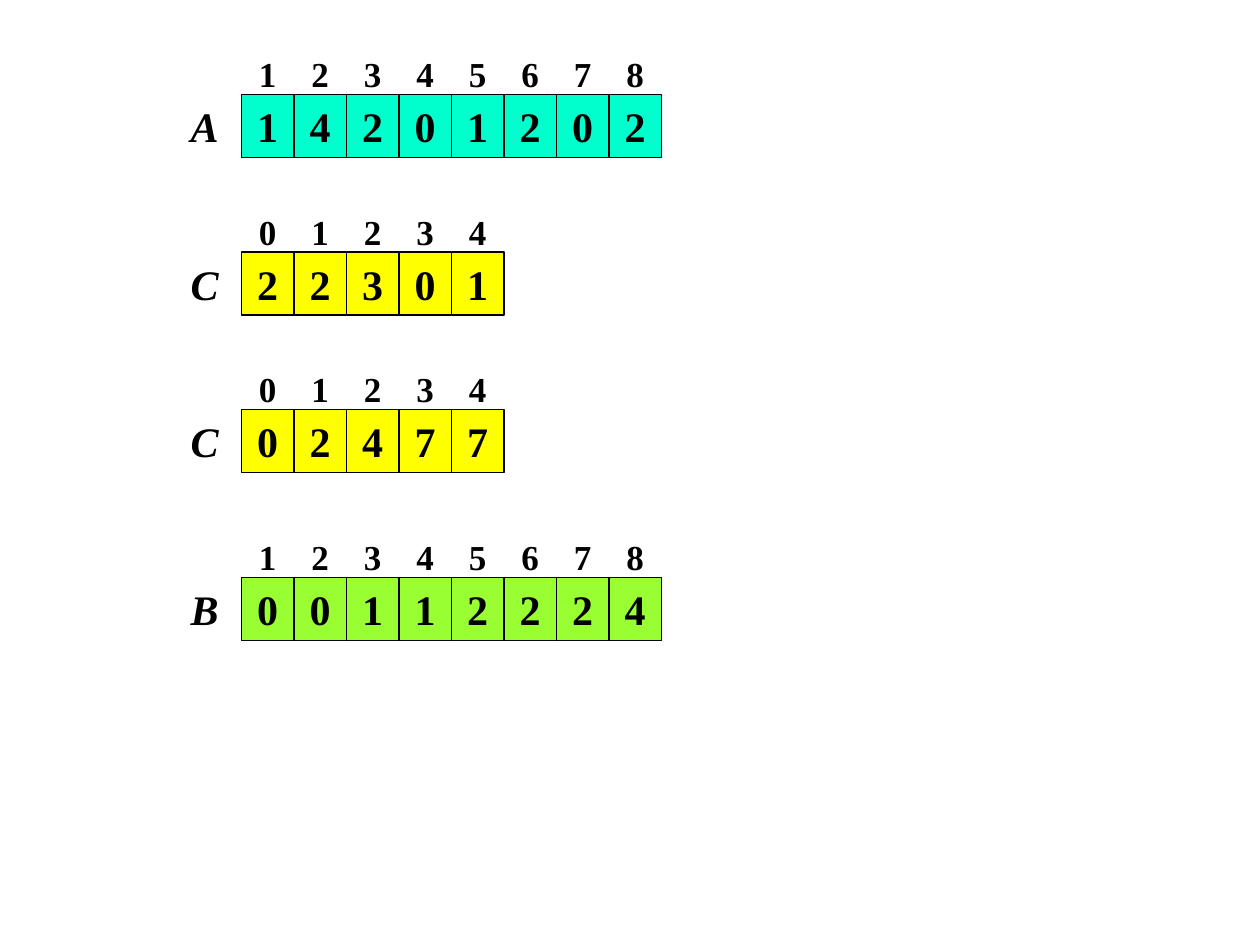
"""Build the counting sort slide: input A, two states of the counts C, and output B."""
from pptx import Presentation
from pptx.dml.color import RGBColor
from pptx.enum.shapes import MSO_SHAPE as Shape
from pptx.enum.text import MSO_ANCHOR as Anchor, PP_ALIGN as Align
from pptx.util import Inches, Pt

BLACK = RGBColor(0x00, 0x00, 0x00)
WHITE = RGBColor(0xFF, 0xFF, 0xFF)
AQUA = RGBColor(0x00, 0xFF, 0xCC)
YELLOW = RGBColor(0xFF, 0xFF, 0x00)
LIME = RGBColor(0x99, 0xFF, 0x33)
FONT = "Times New Roman"

ARRAYS = [
    {"name": "A", "row": 9, "first": 1, "values": [1, 4, 2, 0, 1, 2, 0, 2], "fill": AQUA},
    {"name": "C", "row": 24, "first": 0, "values": [2, 2, 3, 0, 1], "fill": YELLOW},
    {"name": "C", "row": 39, "first": 0, "values": [0, 2, 4, 7, 7], "fill": YELLOW},
    {"name": "B", "row": 55, "first": 1, "values": [0, 0, 1, 1, 2, 2, 2, 4], "fill": LIME},
]

UNIT = Inches(1) // 12
LABEL_LEFT, LABEL_WIDTH = 16, 7
CELL_LEFT, CELL_WIDTH = LABEL_LEFT + LABEL_WIDTH, 5
CELL_HEIGHT, INDEX_HEIGHT = 6, 4


def add_text(slide, text, left, top, width, height=CELL_HEIGHT, size=24,
             italic=False, fill=None, line=None):
    """Add centred bold text, in a rectangle when a line colour is given."""
    box = [UNIT * length for length in (left, top, width, height)]
    if line is None:
        shape = slide.shapes.add_textbox(*box)
    else:
        shape = slide.shapes.add_shape(Shape.RECTANGLE, *box)
        shape.shadow.inherit = False
        shape.line.color.rgb = line
        shape.line.width = Pt(0.75)
        if fill is None:
            shape.fill.background()
        else:
            shape.fill.solid()
            shape.fill.fore_color.rgb = fill
    frame = shape.text_frame
    frame.word_wrap = False
    frame.vertical_anchor = Anchor.MIDDLE
    frame.margin_top = frame.margin_bottom = 0
    paragraph = frame.paragraphs[0]
    paragraph.alignment = Align.CENTER
    run = paragraph.add_run()
    run.text = str(text)
    font = run.font
    font.name, font.size, font.bold, font.italic = FONT, Pt(size), True, italic
    font.color.rgb = BLACK


def add_array(slide, name, row, first, values, fill):
    """Add an array's name, its cells and the indices above them."""
    add_text(slide, name, LABEL_LEFT, row, LABEL_WIDTH, italic=True, line=WHITE)
    for position, value in enumerate(values):
        left = CELL_LEFT + position * CELL_WIDTH
        add_text(slide, value, left, row, CELL_WIDTH, fill=fill, line=BLACK)
        add_text(slide, first + position, left, row - INDEX_HEIGHT, CELL_WIDTH,
                 height=INDEX_HEIGHT, size=20)


def main():
    """Create and save the presentation."""
    presentation = Presentation()
    presentation.slide_width, presentation.slide_height = Inches(10), Inches(7.5)
    slide = presentation.slides.add_slide(presentation.slide_layouts[6])
    for array in ARRAYS:
        add_array(slide, **array)
    presentation.save("out.pptx")


if __name__ == "__main__":
    main()
